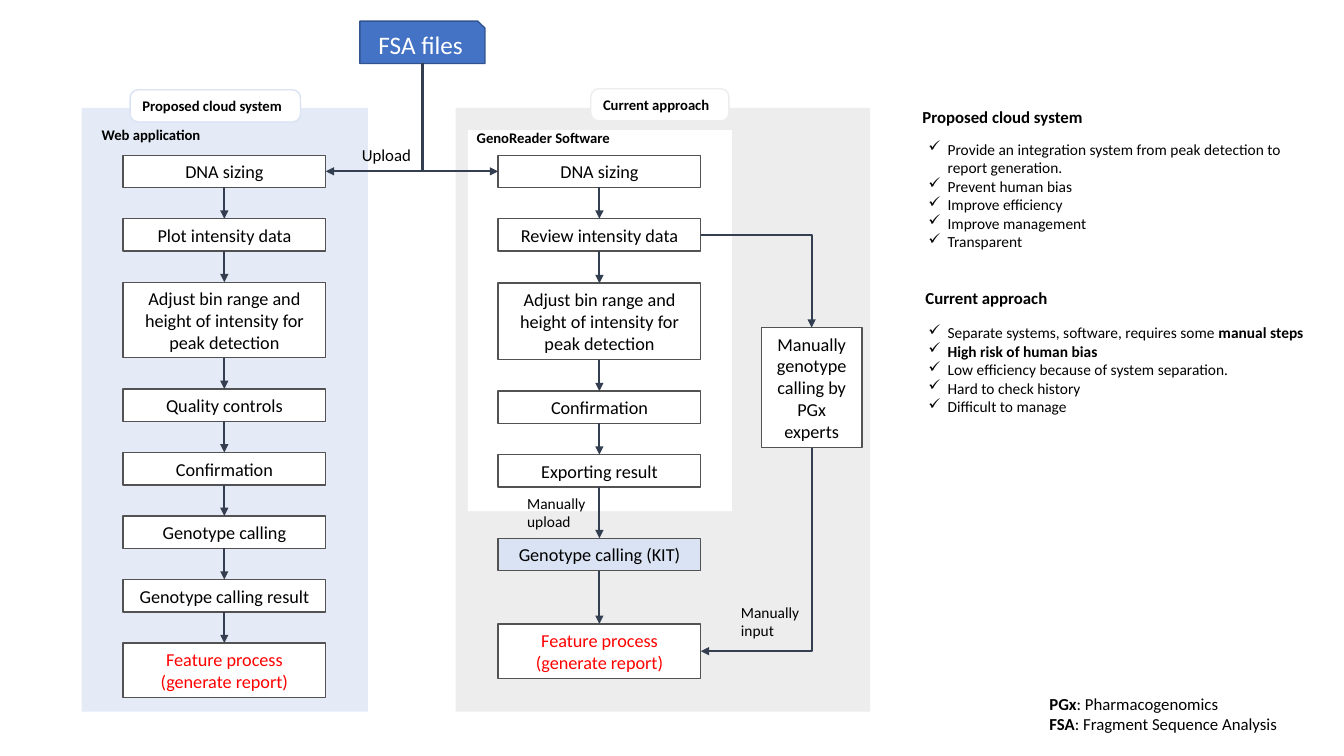
from lxml import etree
from pptx import Presentation
from pptx.dml.color import RGBColor
from pptx.enum.shapes import MSO_CONNECTOR, MSO_SHAPE
from pptx.enum.text import MSO_ANCHOR, MSO_AUTO_SIZE, PP_ALIGN
from pptx.oxml.ns import qn
from pptx.util import Inches, Pt

RECT, ROUND, SNIP = MSO_SHAPE.RECTANGLE, MSO_SHAPE.ROUNDED_RECTANGLE, MSO_SHAPE.SNIP_1_RECTANGLE
STRAIGHT = MSO_CONNECTOR.STRAIGHT
LEFT, CENTER = PP_ALIGN.LEFT, PP_ALIGN.CENTER
MIDDLE, FIT = MSO_ANCHOR.MIDDLE, MSO_AUTO_SIZE.SHAPE_TO_FIT_TEXT
TOP_SITE, BOTTOM_SITE = 0, 2

WHITE = RGBColor(0xFF, 0xFF, 0xFF)
BLACK = RGBColor(0, 0, 0)
RED = RGBColor(0xFF, 0, 0)
GRAY = RGBColor(0xED, 0xED, 0xED)
PALE = RGBColor(0xDA, 0xE3, 0xF3)
BLUE = RGBColor(0x44, 0x72, 0xC4)
NAVY = RGBColor(0x32, 0x54, 0x91)
EDGE = RGBColor(0x52, 0x52, 0x52)
ARROW = RGBColor(0x33, 0x3F, 0x50)
FONT = "Calibri"

BOX_W = 2.01
ADJUST = "Adjust bin range and height of intensity for peak detection"
REPORT = "Feature process (generate report)"

PANELS = [
    ((4.52, 1.07, 4.11, 5.99), GRAY, None),
    ((4.64, 1.29, 2.62, 3.78), WHITE, None),
    ((0.81, 1.07, 2.84, 5.99), PALE, 70),
]
TAGS = [
    ("Proposed cloud system", (1.29, 0.89, 1.69, 0.32), PALE),
    ("Current approach", (5.86, 0.88, 1.37, 0.32), GRAY),
]
CLOUD = [
    ("DNA sizing", 0.32, 0.31, WHITE, BLACK),
    ("Plot intensity data", 0.32, 0.31, WHITE, BLACK),
    (ADJUST, 0.75, 0.31, WHITE, BLACK),
    ("Quality controls", 0.32, 0.31, WHITE, BLACK),
    ("Confirmation", 0.32, 0.31, WHITE, BLACK),
    ("Genotype calling", 0.32, 0.31, WHITE, BLACK),
    ("Genotype calling result", 0.32, 0.31, WHITE, BLACK),
    (REPORT, 0.54, 0, WHITE, RED),
]
CURRENT = [
    ("DNA sizing", 0.32, 0.31, WHITE, BLACK),
    ("Review intensity data", 0.32, 0.32, WHITE, BLACK),
    (ADJUST, 0.76, 0.31, WHITE, BLACK),
    ("Confirmation", 0.32, 0.31, WHITE, BLACK),
    ("Exporting result", 0.32, 0.51, WHITE, BLACK),
    ("Genotype calling (KIT)", 0.32, 0.53, PALE, BLACK),
    (REPORT, 0.54, 0, WHITE, RED),
]
LABELS = [
    ((0.91, 1.2, 1.91, 0.28), 10.5, True, [[("Web application", True)]]),
    ((4.63, 1.23, 1.59, 0.29), 10.5, True, [[("GenoReader Software", True)]]),
    ((3.49, 1.39, 0.69, 0.3), 12, False, [[("Upload", False)]]),
    ((5.13, 4.85, 0.78, 0.47), 11, False, [[("Manually", False)], [("upload", False)]]),
    ((7.25, 5.93, 0.78, 0.47), 11, True, [[("Manually input", False)]]),
    ((9.05, 1.01, 2.79, 0.3), 12, True, [[("Proposed cloud system", True)]]),
    ((9.08, 2.81, 1.43, 0.3), 12, False, [[("Current approach", True)]]),
    ((10.31, 6.83, 2.48, 0.5), 12, False, [
        [("PGx", True), (": Pharmacogenomics", False)],
        [("FSA", True), (": Fragment Sequence Analysis", False)],
    ]),
]
LISTS = [
    ((9.11, 1.34, 4.02, 1.21), [
        [("Provide an integration system from peak detection to report generation.", False)],
        [("Prevent human bias", False)],
        [("Improve efficiency", False)],
        [("Improve management", False)],
        [("Transparent", False)],
    ]),
    ((9.11, 3.16, 4.02, 1.03), [
        [("Separate systems, software, requires some ", False), ("manual steps", True)],
        [("High risk of human bias", True)],
        [("Low efficiency because of system separation.", False)],
        [("Hard to check history", False)],
        [("Difficult to manage", False)],
    ]),
]

deck = Presentation()
deck.slide_width, deck.slide_height = Inches(13.33), Inches(7.5)
slide = deck.slides.add_slide(deck.slide_layouts[6])


def write(frame, lines, size, color=BLACK, align=LEFT, check=False):
    for i, line in enumerate(lines):
        para = frame.paragraphs[0] if i == 0 else frame.add_paragraph()
        para.alignment = align
        if check:
            props = para._p.get_or_add_pPr()
            props.set("marL", str(Inches(0.19)))
            props.set("indent", str(-Inches(0.19)))
            etree.SubElement(props, qn("a:buChar")).set("char", "✓")
        for text, bold in line:
            run = para.add_run()
            run.text = text
            run.font.name, run.font.size = FONT, Pt(size)
            run.font.bold, run.font.color.rgb = bold, color


def block(kind, place, fill, edge=None):
    shape = slide.shapes.add_shape(kind, *map(Inches, place))
    shape.shadow.inherit = False
    shape.fill.solid()
    shape.fill.fore_color.rgb = fill
    if edge is None:
        shape.line.fill.background()
    else:
        shape.line.color.rgb, shape.line.width = edge, Pt(1)
    return shape


def box(text, place, fill=WHITE, color=BLACK, edge=EDGE, size=13,
        kind=RECT, bold=False, align=CENTER, grow=True):
    shape = block(kind, place, fill, edge)
    frame = shape.text_frame
    frame.word_wrap, frame.vertical_anchor = True, MIDDLE
    if grow:
        frame.auto_size = FIT
    write(frame, [[(text, bold)]], size, color, align)
    return shape


def label(place, size, wrap, lines, check=False):
    frame = slide.shapes.add_textbox(*map(Inches, place)).text_frame
    frame.word_wrap, frame.auto_size = wrap, FIT
    write(frame, lines, size, check=check)


def arrow(x1, y1, x2, y2):
    line = slide.shapes.add_connector(STRAIGHT, *map(int, (x1, y1, x2, y2)))
    line.line.color.rgb, line.line.width = ARROW, Pt(1.5)
    etree.SubElement(line.line._get_or_add_ln(), qn("a:tailEnd")).set("type", "triangle")
    etree.SubElement(line._element.spPr, qn("a:effectLst"))
    return line


def bend(start, end, down=True):
    (x1, y1), (x2, y2) = start, end
    if down:
        mid_x, mid_y = (x1 + x2) / 2, (y1 + y2) / 2
        half_w, half_h = abs(y2 - y1) / 2, abs(x2 - x1) / 2
        line = arrow(mid_x - half_w, mid_y - half_h, mid_x + half_w, mid_y + half_h)
        frame = line._element.spPr.find(qn("a:xfrm"))
        frame.set("rot", str((90 if x2 < x1 else 270) * 60000))
        if x2 > x1:
            frame.set("flipH", "1")
    else:
        line = arrow(x1, y1, x2, y2)
    line._element.spPr.find(qn("a:prstGeom")).set("prst", "bentConnector2")


def side(shape, across, along):
    return shape.left + shape.width * across, shape.top + shape.height * along


def flow(steps, left, top):
    boxes = []
    for text, high, gap, fill, color in steps:
        boxes.append(box(text, (left, top, BOX_W, high), fill, color))
        top += high + gap
    for first, second in zip(boxes, boxes[1:]):
        line = arrow(*side(first, 0.5, 1), *side(second, 0.5, 0))
        line.begin_connect(first, BOTTOM_SITE)
        line.end_connect(second, TOP_SITE)
    return boxes


for place, fill, alpha in PANELS:
    panel = block(RECT, place, fill)
    if alpha:
        tint = panel._element.spPr.find(qn("a:solidFill"))[0]
        etree.SubElement(tint, qn("a:alpha")).set("val", str(alpha * 1000))

for text, place, edge in TAGS:
    tag = box(text, place, edge=edge, size=10.5, kind=ROUND, bold=True, align=LEFT)
    tag.adjustments[0] = 0.25

cloud = flow(CLOUD, 1.22, 1.54)
current = flow(CURRENT, 4.94, 1.54)
expert = box("Manually genotype calling by PGx experts", (7.55, 3.25, 1, 1.19))
files = box("FSA files", (3.57, 0.21, 1.24, 0.42), BLUE, WHITE, NAVY, 18, SNIP, grow=False)

bend(side(files, 0.5, 1), side(current[0], 0, 0.5))
bend(side(files, 0.5, 1), side(cloud[0], 1, 0.5))
bend(side(current[1], 1, 0.5), side(expert, 0.5, 0), down=False)
bend(side(expert, 0.5, 1), side(current[-1], 1, 0.5))

for item in LABELS:
    label(*item)
for place, lines in LISTS:
    label(place, 11, True, lines, check=True)

deck.save("out.pptx")
